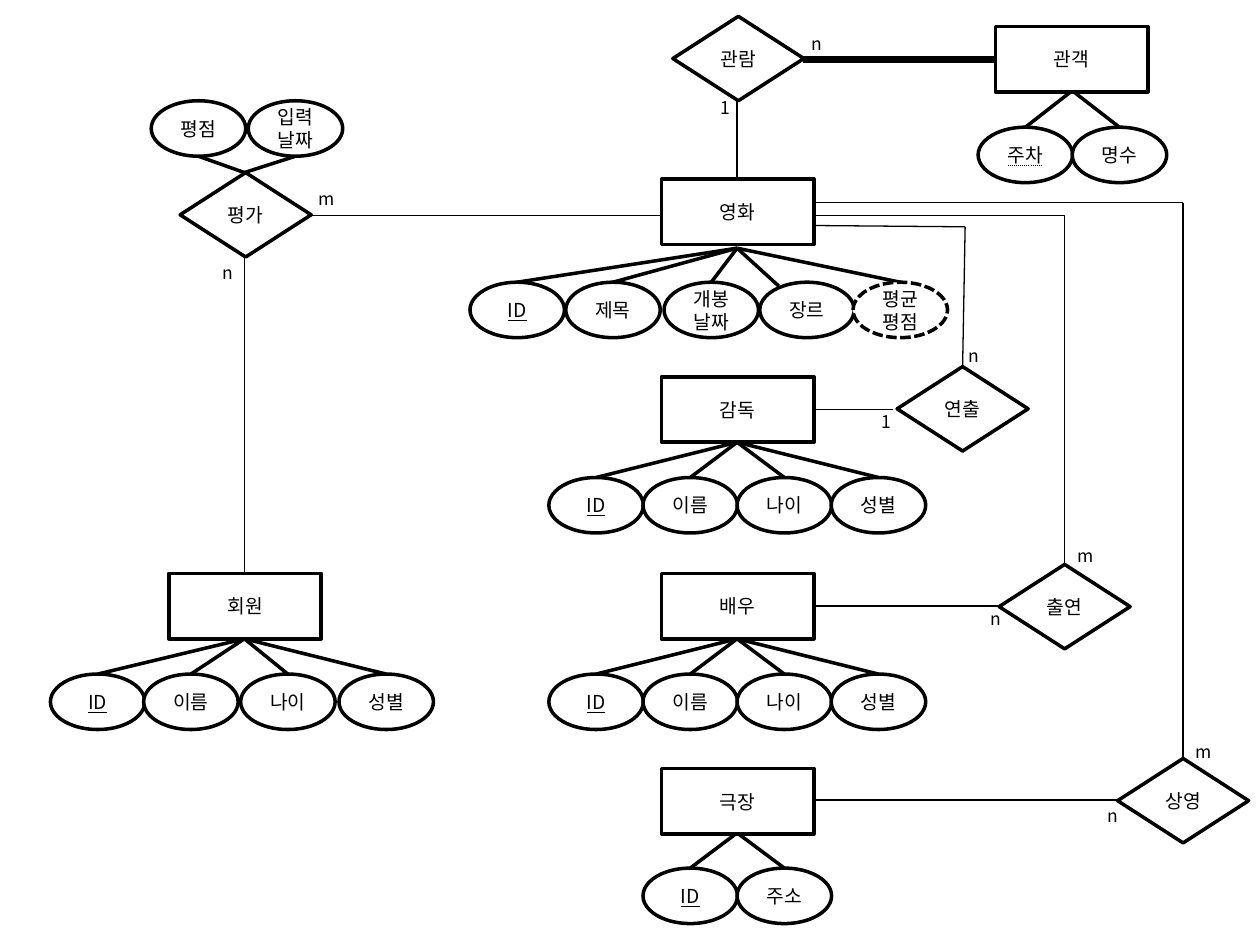
from dataclasses import dataclass

from lxml import etree
from pptx import Presentation
from pptx import util as u
from pptx.dml.color import RGBColor
from pptx.enum import dml, shapes, text
from pptx.oxml.ns import qn


@dataclass(frozen=True)
class Theme:
    ink: RGBColor = RGBColor(0, 0, 0)
    paper: RGBColor = RGBColor(255, 255, 255)
    font: str = "Noto Sans CJK KR"
    node_size: float = 11
    label_size: float = 10
    thin: float = 0.75
    bold: float = 2
    heavy: float = 4


COLUMNS, ROWS = 100, 75
ENTITY = (12.1, 5.2)
RELATION = (10.4, 6.7)
ATTRIBUTE = (7.5, 4.4)
PITCH = 7.47
KINDS = shapes.MSO_SHAPE
LINES = text.MSO_UNDERLINE


def write(frame, words, *, size, theme, align, underline=None):
    para = frame.paragraphs[0]
    para.alignment = align
    span = para.add_run()
    span.text = words
    font = span.font
    font.size = u.Pt(size)
    font.name = theme.font
    font.color.rgb = theme.ink
    font.underline = underline
    east_asian = etree.Element(qn("a:ea"), typeface=theme.font)
    span._r.get_or_add_rPr().find(qn("a:latin")).addnext(east_asian)


class Diagram:
    def __init__(self, deck, theme):
        self.theme = theme
        self.page = deck.slides.add_slide(deck.slide_layouts[6])
        self.cell_width = deck.slide_width / COLUMNS
        self.cell_height = deck.slide_height / ROWS

    def place(self, column, row):
        return round(column * self.cell_width), round(row * self.cell_height)

    def node(self, kind, words, column, row, size, underline=None, dash=None):
        box = self.page.shapes.add_shape(
            kind, *self.place(column, row), *self.place(*size))
        box.shadow.inherit = False
        box.fill.solid()
        box.fill.fore_color.rgb = self.theme.paper
        box.line.color.rgb = self.theme.ink
        box.line.width = u.Pt(self.theme.bold)
        if dash:
            box.line.dash_style = dash
        box.text_frame.word_wrap = True
        box.text_frame.vertical_anchor = text.MSO_ANCHOR.MIDDLE
        write(box.text_frame, words, size=self.theme.node_size, theme=self.theme,
              align=text.PP_ALIGN.CENTER, underline=underline)

    def entity(self, words, column, row):
        self.node(KINDS.RECTANGLE, words, column, row, ENTITY)

    def relation(self, words, column, row):
        self.node(KINDS.FLOWCHART_DECISION, words, column, row, RELATION)

    def line(self, start, end, weight):
        link = self.page.shapes.add_connector(
            shapes.MSO_CONNECTOR.STRAIGHT, *self.place(*start), *self.place(*end))
        link.line.color.rgb = self.theme.ink
        link.line.width = u.Pt(weight)
        etree.SubElement(link._element.spPr, qn("a:effectLst"))

    def route(self, *points, weight=None):
        for start, end in zip(points, points[1:]):
            self.line(start, end, weight or self.theme.thin)

    def attributes(self, hub, row, names, lefts=None, key=None,
                   key_line=LINES.SINGLE_LINE, derived=None, tips=None):
        width, height = ATTRIBUTE
        first = hub[0] - PITCH * len(names) / 2
        lefts = lefts or [first + PITCH * i for i in range(len(names))]
        edge = row + height if hub[1] > row else row
        for name, left in zip(names, lefts):
            tip = (tips or {}).get(name, (left + width / 2, edge))
            self.line(tip, hub, self.theme.bold)
        for name, left in zip(names, lefts):
            self.node(KINDS.FLOWCHART_CONNECTOR, name, left, row, ATTRIBUTE,
                      underline=key_line if name == key else None,
                      dash=dml.MSO_LINE.SQUARE_DOT if name == derived else None)

    def label(self, words, column, row):
        box = self.page.shapes.add_textbox(
            *self.place(column, row), *self.place(2.4, 2.7))
        box.text_frame.word_wrap = True
        write(box.text_frame, words, size=self.theme.label_size, theme=self.theme,
              align=text.PP_ALIGN.LEFT)


def main():
    deck = Presentation()
    deck.slide_width, deck.slide_height = u.Inches(10), u.Inches(7.5)
    theme = Theme()
    diagram = Diagram(deck, theme)

    diagram.route((19.4, 20.4), (19.4, 45.5))
    diagram.route((52.5, 17.1), (24.6, 17.1))
    diagram.route((58.5, 14.5), (58.5, 8))
    diagram.route((79, 4.7), (63.7, 4.7), weight=theme.heavy)
    diagram.route((64.6, 17.1), (84.5, 17.1), (84.5, 44.8))
    diagram.route((64.6, 16.1), (93.9, 16.1), (93.9, 60.2))
    diagram.route((64.6, 17.9), (76.6, 18), (76.4, 29.1))
    diagram.route((64.6, 32.5), (70.9, 32.5))
    diagram.route((64.6, 48.1), (79.3, 48.1))
    diagram.route((64.6, 63.5), (88.7, 63.5))

    person = ["ID", "이름", "나이", "성별"]
    diagram.attributes((19.4, 13.7), 8, ["평점", "입력날짜"], lefts=[12, 19.7])
    diagram.attributes((85.1, 7.2), 10.1, ["주차", "명수"], key="주차",
                       key_line=LINES.DOTTED_LINE)
    diagram.attributes((58.5, 19.7), 22.4, ["ID", "제목", "개봉날짜", "장르", "평균평점"],
                       lefts=[37.3, 44.9, 52.7, 60.3, 67.7], key="ID",
                       derived="평균평점", tips={"장르": (61.8, 22.7)})
    diagram.attributes((19.4, 50.7), 53.5, person, key="ID",
                       lefts=[4, 11.4, 19.1, 26.9])
    for row in (37.9, 53.5):
        diagram.attributes((58.5, row - 2.8), row, person, key="ID")
    diagram.attributes((58.5, 66.1), 68.9, ["ID", "주소"], key="ID")

    for words, column, row in [
            ("관객", 79, 2.1), ("회원", 13.4, 45.5), ("영화", 52.5, 14.2),
            ("감독", 52.5, 29.9), ("배우", 52.5, 45.5), ("극장", 52.5, 61)]:
        diagram.entity(words, column, row)
    for words, column, row in [
            ("관람", 53.4, 1.3), ("평가", 14.3, 13.7), ("연출", 71.2, 29.1),
            ("출연", 79.3, 44.8), ("상영", 88.7, 60.2)]:
        diagram.relation(words, column, row)
    for words, column, row in [
            ("n", 16.7, 20.3), ("m", 24.3, 14.4), ("1", 69, 32.1), ("n", 75.9, 26.9),
            ("n", 77.6, 47.8), ("n", 86.9, 63.4), ("m", 84.5, 42.8),
            ("m", 93.9, 58.3), ("1", 56.2, 7.2), ("n", 63.4, 2.1)]:
        diagram.label(words, column, row)

    deck.save("out.pptx")


if __name__ == "__main__":
    main()
